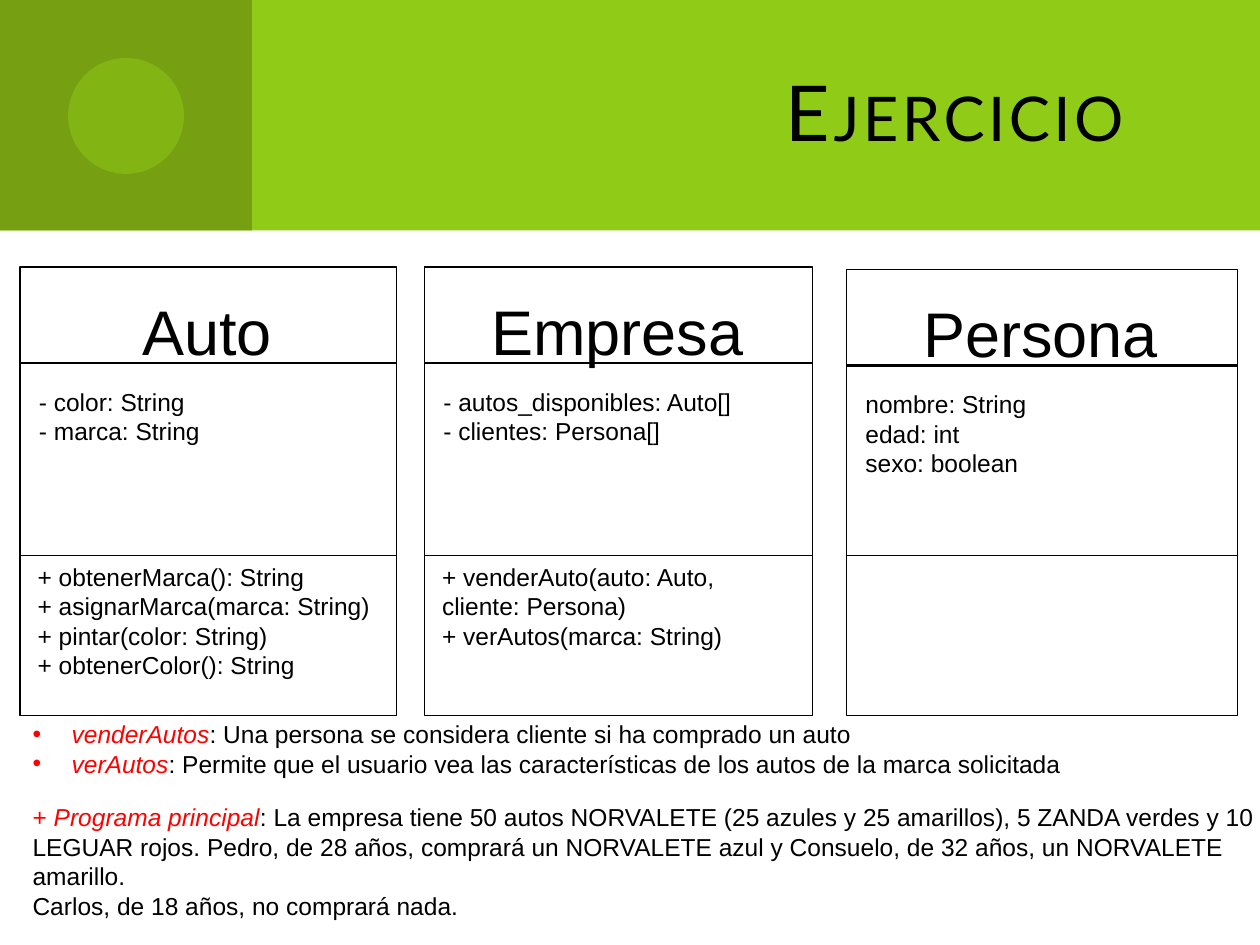
import pptx
import pptx.dml.color
import pptx.enum.shapes
import pptx.enum.text
import pptx.oxml.ns
import pptx.util
from lxml import etree
from pptx.util import Inches

BLACK = pptx.dml.color.RGBColor(0, 0, 0)
WHITE = pptx.dml.color.RGBColor(255, 255, 255)
RED = pptx.dml.color.RGBColor(255, 0, 0)
GREEN = pptx.dml.color.RGBColor(0x8F, 0xCB, 0x17)
DARK_GREEN = pptx.dml.color.RGBColor(0x76, 0x9F, 0x11)

SHAPE = pptx.enum.shapes.MSO_SHAPE
ALIGN = pptx.enum.text.PP_ALIGN
qn = pptx.oxml.ns.qn

BODY = {"name": "Arial", "size": pptx.util.Pt(14)}
CLASS_NAME = {"name": "Arial", "size": pptx.util.Pt(36)}
HEADING = {"name": "Lato", "size": pptx.util.Pt(44)}
PLAIN = {"italic": False}
TERM = {"italic": True}

CLASS_BOTTOM = 5.68
# left, top, width, name, attributes, methods
CLASSES = [
    (0.16, 2.12, 2.99, "Auto",
     ["- color: String", "- marca: String"],
     ["+ obtenerMarca(): String", "+ asignarMarca(marca: String)",
      "+ pintar(color: String)", "+ obtenerColor(): String"]),
    (3.37, 2.12, 3.08, "Empresa",
     ["- autos_disponibles: Auto[]", "- clientes: Persona[]"],
     ["+ venderAuto(auto: Auto, cliente: Persona)", "+ verAutos(marca: String)"]),
    (6.72, 2.14, 3.1, "Persona",
     ["nombre: String", "edad: int", "sexo: boolean"], []),
]

NOTES = [
    [("venderAutos", RED, TERM),
     (": Una persona se considera cliente si ha comprado un auto", BLACK, PLAIN)],
    [("verAutos", RED, TERM),
     (": Permite que el usuario vea las características de los autos "
      "de la marca solicitada", BLACK, PLAIN)],
]
PROGRAM = [
    [("+ ", RED, PLAIN), ("Programa principal", RED, TERM),
     (": La empresa tiene 50 autos NORVALETE (25 azules y 25 amarillos), "
      "5 ZANDA verdes y 10 LEGUAR rojos. Pedro, de 28 años, comprará un "
      "NORVALETE azul y Consuelo, de 32 años, un NORVALETE amarillo.",
      BLACK, PLAIN)],
    [("Carlos, de 18 años, no comprará nada.", BLACK, PLAIN)],
]


def set_all(target, values):
    for attribute, value in values.items():
        setattr(target, attribute, value)


def plain(lines):
    """Turn each line into a paragraph of one black run."""
    return [[(line, BLACK, PLAIN)] for line in lines]


def add_block(slide, preset, left, top, width, height, fill, outline=None):
    block = slide.shapes.add_shape(
        preset, Inches(left), Inches(top), Inches(width), Inches(height))
    block.shadow.inherit = False
    block.fill.solid()
    block.fill.fore_color.rgb = fill
    if outline is None:
        block.line.fill.background()
    else:
        block.line.color.rgb = outline
        block.line.width = pptx.util.Pt(0.75)
    return block


def set_opacity(shape, percent):
    color = shape.fill._xPr.find(".//" + qn("a:srgbClr"))
    etree.SubElement(color, qn("a:alpha"), val=str(percent * 1000))


def add_divider(slide, left, y, width, weight):
    divider = slide.shapes.add_connector(
        pptx.enum.shapes.MSO_CONNECTOR.STRAIGHT,
        Inches(left), Inches(y), Inches(left + width), Inches(y))
    divider.line.color.rgb = BLACK
    divider.line.width = pptx.util.Pt(weight)
    etree.SubElement(divider._element.spPr, qn("a:effectLst"))


def add_text(slide, left, top, width, height, paragraphs, font,
             align=ALIGN.LEFT, frame_format=None):
    """Paragraphs are lists of (text, colour, font values) runs."""
    box = slide.shapes.add_textbox(
        Inches(left), Inches(top), Inches(width), Inches(height))
    frame = box.text_frame
    set_all(frame, {"word_wrap": True, **(frame_format or {})})
    for index, runs in enumerate(paragraphs):
        paragraph = frame.add_paragraph() if index else frame.paragraphs[0]
        paragraph.alignment = align
        for text, color, style in runs:
            run = paragraph.add_run()
            run.text = text
            set_all(run.font, {**font, **style})
            run.font.color.rgb = color
    return frame


def add_bullets(frame, color):
    indent = Inches(0.31)
    for paragraph in frame.paragraphs:
        properties = paragraph._p.get_or_add_pPr()
        properties.set("marL", str(indent))
        properties.set("indent", str(-indent))
        bullet_color = etree.SubElement(properties, qn("a:buClr"))
        etree.SubElement(bullet_color, qn("a:srgbClr"), val=str(color))
        etree.SubElement(properties, qn("a:buFont"), typeface="Arial")
        etree.SubElement(properties, qn("a:buChar"), char="•")


def add_banner(slide, title):
    add_block(slide, SHAPE.RECTANGLE, 0, 0, 10, 1.83, GREEN)
    add_block(slide, SHAPE.RECTANGLE, 0, 0, 2, 1.83, DARK_GREEN)
    disc = add_block(slide, SHAPE.OVAL, 0.54, 0.46, 0.92, 0.92, GREEN)
    set_opacity(disc, 50)
    frame = add_text(
        slide, 2.67, 0.25, 6.83, 1.25, plain([title]), HEADING, ALIGN.RIGHT,
        {"vertical_anchor": pptx.enum.text.MSO_ANCHOR.MIDDLE,
         "margin_right": Inches(0.33)})
    properties = frame.paragraphs[0].runs[0]._r.get_or_add_rPr()
    properties.set("cap", "small")
    properties.set("spc", "200")


def add_class(slide, left, top, width, name, attributes, methods):
    """Draw a UML class with name, attribute and method compartments."""
    methods_top = 4.41
    add_block(slide, SHAPE.RECTANGLE, left, top, width, CLASS_BOTTOM - top,
              WHITE, BLACK)
    add_divider(slide, left, top + 0.76, width, 1.5)
    add_divider(slide, left, methods_top, width, 0.75)
    add_text(slide, left + 0.02, top + 0.1, width - 0.06, 0.54,
             plain([name]), CLASS_NAME, ALIGN.CENTER,
             {"margin_top": Inches(0.1)})
    add_text(slide, left + 0.05, top + 0.9, width - 0.1, 0.52,
             plain(attributes), BODY)
    if methods:
        add_text(slide, left + 0.04, methods_top, width - 0.1, 0.95,
                 plain(methods), BODY)


def main():
    presentation = pptx.Presentation()
    presentation.slide_width = Inches(10)
    presentation.slide_height = Inches(7.5)
    slide = presentation.slides.add_slide(presentation.slide_layouts[6])

    add_banner(slide, "Ejercicio")
    for uml_class in CLASSES:
        add_class(slide, *uml_class)
    notes = add_text(slide, 0.16, 5.66, 9.91, 0.57, NOTES, BODY)
    add_bullets(notes, RED)
    add_text(slide, 0.16, 6.32, 9.91, 1.04, PROGRAM, BODY)

    presentation.save("out.pptx")


if __name__ == "__main__":
    main()
